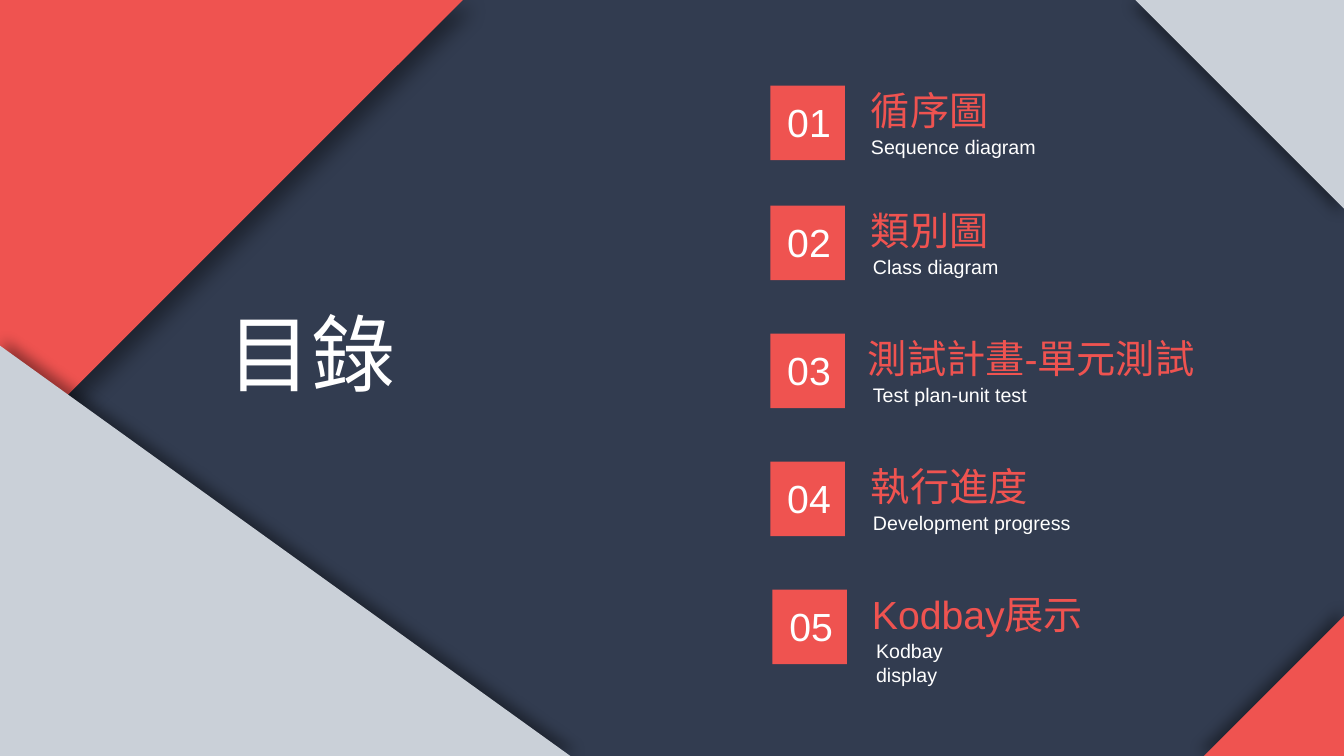
from lxml import etree
from pptx import Presentation
from pptx.dml.color import RGBColor
from pptx.enum import shapes, text
from pptx.oxml.ns import qn
from pptx.util import Inches, Pt

COLORS = {"navy": "323C50", "red": "EF5350", "gray": "CAD0D8",
          "white": "FFFFFF", "black": "000000"}
FONT = "Arial"
TITLE = "目錄"

# left, top, width, height, rotation, flip, color, shadow blur, distance, angle
CORNERS = [
    (11.26, 0, 2.07, 2.07, 90, "flipV", "gray", 10, 5, 135),
    (0, 0, 4.59, 4.59, 0, "flipV", "red", 15, 10, 45),
    (11.94, 6.1, 1.4, 1.4, 270, None, "red", 10, 5, 225),
    (0.79, 2.63, 4.08, 5.67, 90, "flipH", "gray", 10, 5, 315),
]

# square left, square top, heading, heading left and width, caption, caption left and width
ITEMS = [
    (7.64, 0.85, "循序圖", 8.54, 2.95, "Sequence diagram", 8.54, 1.84),
    (7.64, 2.04, "類別圖", 8.54, 2.95, "Class diagram", 8.56, 1.45),
    (7.64, 3.31, "測試計畫-單元測試", 8.51, 3.69, "Test plan-unit test", 8.56, 1.73),
    (7.64, 4.58, "執行進度", 8.54, 2.95, "Development progress", 8.56, 2.17),
    (7.66, 5.85, "Kodbay展示", 8.55, 2.95, "Kodbay display", 8.59, 1.48),
]
SIDE = 0.74


def rgb(name):
    return RGBColor.from_string(COLORS[name])


def add_block(slide, kind, box, color):
    block = slide.shapes.add_shape(kind, *map(Inches, box))
    block.shadow.inherit = False
    block.fill.solid()
    block.fill.fore_color.rgb = rgb(color)
    block.line.fill.background()
    return block


def add_shade(shape, blur, dist, angle):
    """Give the shape a soft outer shadow that ignores its rotation."""
    effects = shape._element.spPr.find(qn("a:effectLst"))
    shade = etree.SubElement(
        effects, qn("a:outerShdw"), blurRad=str(Pt(blur)), dist=str(Pt(dist)),
        dir=str(angle * 60000), algn="ctr", rotWithShape="0")
    tint = etree.SubElement(shade, qn("a:srgbClr"), val=COLORS["black"])
    etree.SubElement(tint, qn("a:alpha"), val="40000")


def add_corner(slide, corner):
    *box, turn, flip, color, blur, dist, angle = corner
    shape = add_block(slide, shapes.MSO_SHAPE.RIGHT_TRIANGLE, box, color)
    shape.rotation = turn
    if flip:
        shape._element.spPr.find(qn("a:xfrm")).set(flip, "1")
    add_shade(shape, blur, dist, angle)


def add_label(slide, box, words, size, color, wrap=False, align=text.PP_ALIGN.LEFT):
    frame = slide.shapes.add_textbox(*map(Inches, box)).text_frame
    frame.word_wrap = wrap
    frame.auto_size = text.MSO_AUTO_SIZE.SHAPE_TO_FIT_TEXT
    frame.text = words
    para = frame.paragraphs[0]
    para.alignment = align
    font = para.runs[0].font
    font.name, font.size = FONT, Pt(size)
    font.color.rgb = rgb(color)
    face = etree.SubElement(font._element, qn("a:ea"))
    face.set("typeface", FONT)


def add_item(slide, number, item):
    left, top, head, head_x, head_w, note, note_x, note_w = item
    add_block(slide, shapes.MSO_SHAPE.RECTANGLE, (left, top, SIDE, SIDE), "red")
    add_label(slide, (left + 0.07, top + 0.08, 0.64, 0.57), f"{number:02}", 28, "white")
    add_label(slide, (note_x, top + 0.44, note_w, 0.34), note, 14, "white")
    add_label(slide, (head_x, top - 0.04, head_w, 0.57), head, 28, "red", wrap=True)


def main():
    deck = Presentation()
    deck.slide_width, deck.slide_height = Inches(13.33), Inches(7.5)
    slide = deck.slides.add_slide(deck.slide_layouts[6])
    slide.background.fill.solid()
    slide.background.fill.fore_color.rgb = rgb("navy")
    for corner in CORNERS:
        add_corner(slide, corner)
    add_label(slide, (2.15, 2.94, 1.88, 1.11), TITLE, 60, "white",
              align=text.PP_ALIGN.CENTER)
    for number, item in enumerate(ITEMS, 1):
        add_item(slide, number, item)
    deck.save("out.pptx")


if __name__ == "__main__":
    main()
